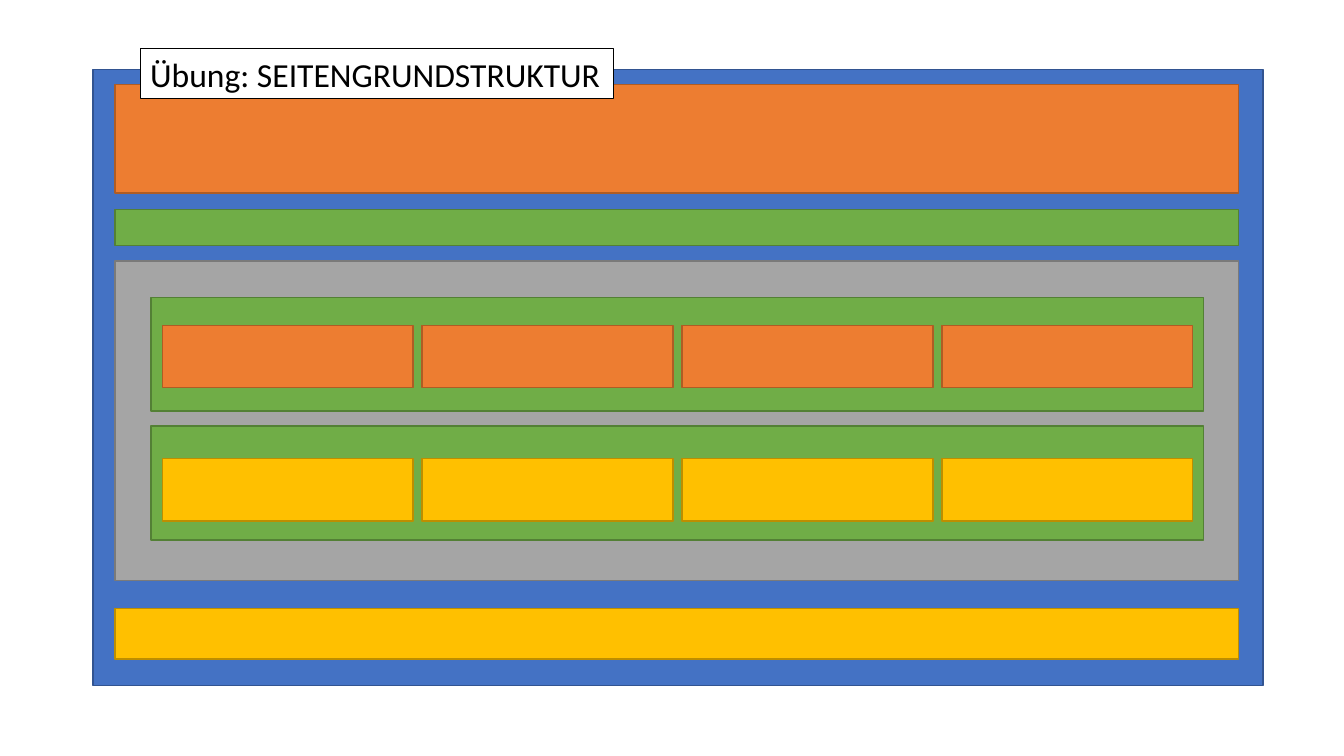
from pptx import Presentation
from pptx.dml.color import RGBColor
from pptx.enum.shapes import MSO_SHAPE
from pptx.enum.text import MSO_ANCHOR, MSO_AUTO_SIZE, PP_ALIGN
from pptx.util import Cm, Pt

RECTANGLE = MSO_SHAPE.RECTANGLE
MIDDLE = MSO_ANCHOR.MIDDLE
FIXED_SIZE = MSO_AUTO_SIZE.NONE
LEFT = PP_ALIGN.LEFT
TITLE_ONLY = 5

BLUE = ("4472C4", "325491")
ORANGE = ("ED7D31", "AF5C24")
GREEN = ("70AD47", "538035")
GREY = ("A5A5A5", "7A7A7A")
YELLOW = ("FFC000", "BD8E00")
WHITE = ("FFFFFF", "000000")

SECTION_LEFT, SECTION_WIDTH = 2.9, 28.32
ROW_LEFT, ROW_WIDTH, ROW_HEIGHT = 3.81, 26.52, 2.87
CELL_LEFT, CELL_WIDTH, CELL_HEIGHT = 4.09, 6.32, 1.57
CELL_PITCH, CELL_COUNT = 6.55, 4


def color(hex_code):
    return RGBColor.from_string(hex_code)


def paint(shape, colors, line_width=1):
    fill, line = colors
    shape.fill.solid()
    shape.fill.fore_color.rgb = color(fill)
    shape.line.color.rgb = color(line)
    shape.line.width = Pt(line_width)


def add_block(slide, left, top, width, height, colors):
    block = slide.shapes.add_shape(RECTANGLE, Cm(left), Cm(top), Cm(width), Cm(height))
    block.shadow.inherit = False
    paint(block, colors)


def add_row(slide, top, cell_top, cell_colors):
    add_block(slide, ROW_LEFT, top, ROW_WIDTH, ROW_HEIGHT, GREEN)
    for column in range(CELL_COUNT):
        left = CELL_LEFT + column * CELL_PITCH
        add_block(slide, left, cell_top, CELL_WIDTH, CELL_HEIGHT, cell_colors)


def set_title(slide, text):
    title = slide.shapes.title
    title.left, title.top = Cm(3.53), Cm(1.22)
    title.width, title.height = Cm(11.94), Cm(1.27)
    paint(title, WHITE, 0.75)
    frame = title.text_frame
    frame.word_wrap = True
    frame.auto_size = FIXED_SIZE
    frame.vertical_anchor = MIDDLE
    paragraph = frame.paragraphs[0]
    paragraph.alignment = LEFT
    run = paragraph.add_run()
    run.text = text
    run.font.name = "Calibri"
    run.font.size = Pt(24)
    run.font.color.rgb = color("000000")
    slide.shapes._spTree.append(title._element)


def main():
    presentation = Presentation()
    presentation.slide_width, presentation.slide_height = Cm(33.87), Cm(19.05)
    slide = presentation.slides.add_slide(presentation.slide_layouts[TITLE_ONLY])

    add_block(slide, 2.34, 1.75, 29.49, 15.52, BLUE)
    sections = [
        (2.13, 2.74, ORANGE),
        (5.28, 0.91, GREEN),
        (6.58, 8.05, GREY),
        (15.34, 1.27, YELLOW),
    ]
    for top, height, colors in sections:
        add_block(slide, SECTION_LEFT, top, SECTION_WIDTH, height, colors)

    add_row(slide, 7.49, 8.2, ORANGE)
    add_row(slide, 10.74, 11.56, YELLOW)
    set_title(slide, "Übung: SEITENGRUNDSTRUKTUR")

    presentation.save("out.pptx")


main()
